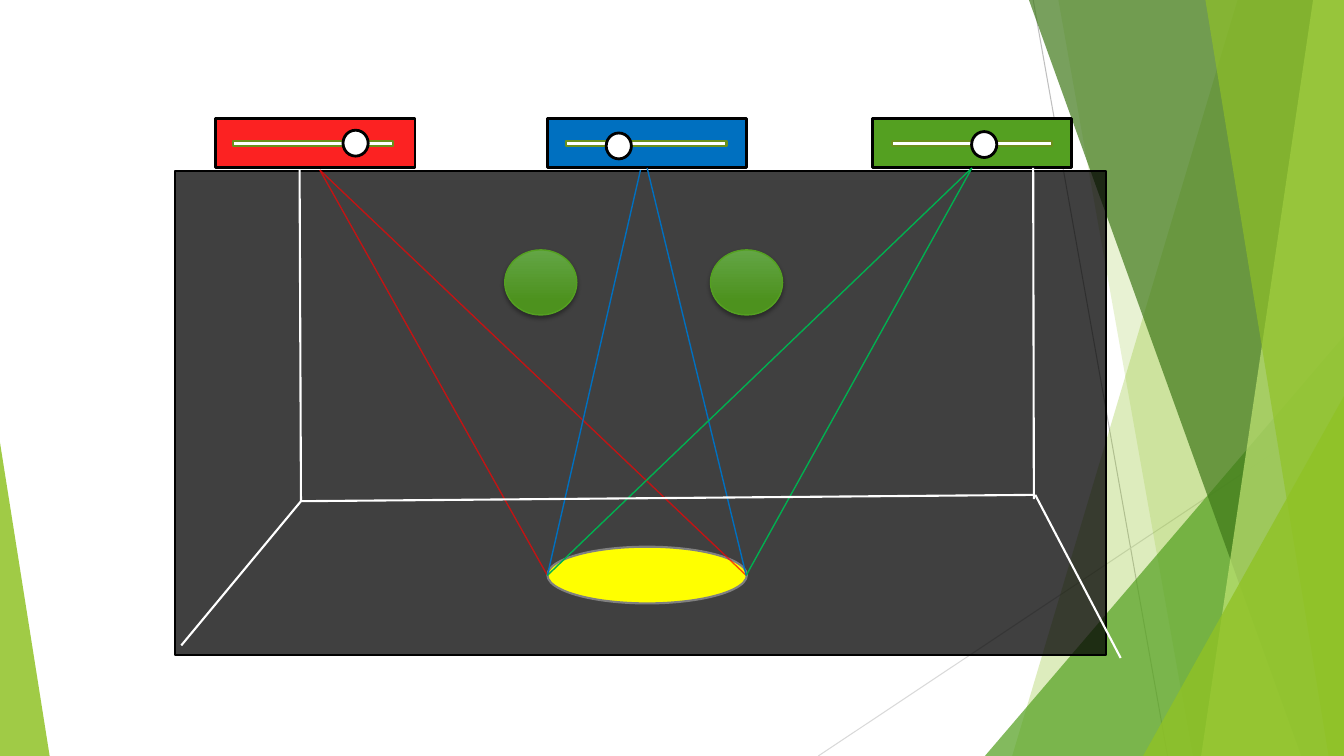
from lxml import etree
from pptx import Presentation
from pptx.dml.color import RGBColor
from pptx.enum.shapes import MSO_CONNECTOR as CONN, MSO_SHAPE as SHAPE
from pptx.oxml.ns import qn
from pptx.util import Pt

WIDTH, HEIGHT = 960, 540
BLACK, WHITE, LIME, GREEN = "000000", "FFFFFF", "90C226", "54A021"


def rgb(color):
    return RGBColor.from_string(color)


def set_alpha(fill, percent):
    """Make a solid fill let through what lies behind it."""
    if percent < 100:
        color = fill._xPr.find(qn("a:solidFill"))[0]
        etree.SubElement(color, qn("a:alpha"), val=str(percent * 1000))


class Stage:
    """Draws on one slide; all lengths are in points."""

    edge = 2
    wall_line = 1.5
    beam_line = 1

    def __init__(self, slide):
        self.shapes = slide.shapes

    def paint(self, sp, fill, alpha=100, line=None, width=edge):
        sp.shadow.inherit = False
        sp.fill.solid()
        sp.fill.fore_color.rgb = rgb(fill)
        set_alpha(sp.fill, alpha)
        if line:
            sp.line.color.rgb = rgb(line)
            sp.line.width = Pt(width)
        else:
            sp.line.fill.background()
        return sp

    def shape(self, kind, x, y, w, h, fill, **style):
        sp = self.shapes.add_shape(kind, Pt(x), Pt(y), Pt(w), Pt(h))
        return self.paint(sp, fill, **style)

    def triangle(self, x, y, w, apex, fill, alpha):
        """A triangle that stands on the bottom of the slide."""
        sp = self.shape(SHAPE.ISOSCELES_TRIANGLE, x, y, w, HEIGHT - y, fill, alpha=alpha)
        sp.adjustments[0] = apex

    def band(self, top, bottom, fill, alpha):
        """A full-height band from a slanted left edge to the right of the slide."""
        builder = self.shapes.build_freeform(Pt(top), 0)
        corners = [(WIDTH, 0), (WIDTH, HEIGHT), (bottom, HEIGHT)]
        builder.add_line_segments([(Pt(x), Pt(y)) for x, y in corners], close=True)
        self.paint(builder.convert_to_shape(), fill, alpha)

    def line(self, start, end, color, width, alpha=100, box=None):
        """A straight line; with a box it starts at the middle of its bottom."""
        cx = self.shapes.add_connector(CONN.STRAIGHT, *map(Pt, (*start, *end)))
        cx.line.color.rgb = rgb(color)
        cx.line.width = Pt(width)
        set_alpha(cx.line.fill, alpha)
        etree.SubElement(cx._element.spPr, qn("a:effectLst"))
        if box is not None:
            cx.begin_connect(box, 2)

    def lamp(self, x, color, track_x, knob_x, knob_y):
        """A coloured box with a slider on it."""
        box = self.shape(SHAPE.RECTANGLE, x, 84.5, 142.5, 35.5, color, line=BLACK)
        self.shape(SHAPE.RECTANGLE, track_x, 100.8, 114.5, 3.4, WHITE,
                   line="6B901C", width=1.5)
        self.shape(SHAPE.OVAL, knob_x, knob_y, 18, 18.5, WHITE, line=BLACK)
        return box

    def ball(self, x, y):
        sp = self.shape(SHAPE.OVAL, x, y, 51.5, 46.5, GREEN, line=GREEN, width=1)
        sp.fill.gradient()
        sp.fill.gradient_angle = 270
        stops = [(0, "63A545"), (0.78, "4D921E")]
        for stop, (position, color) in zip(sp.fill.gradient_stops, stops):
            stop.position = position
            stop.color.rgb = rgb(color)
        effects = sp._element.spPr.find(qn("a:effectLst"))
        shadow = etree.SubElement(effects, qn("a:outerShdw"), blurRad=str(Pt(3)),
                                  dist=str(Pt(2)), dir="5400000", rotWithShape="0")
        color = etree.SubElement(shadow, qn("a:srgbClr"), val=BLACK)
        etree.SubElement(color, qn("a:alpha"), val="35000")


def draw_backdrop(stage):
    stage.line((738, 0), (834, HEIGHT), "BFBFBF", 0.75)
    stage.line((WIDTH, 290), (584.5, HEIGHT), "D9D9D9", 0.75)
    stage.band(884, 723, LIME, 30)
    stage.band(756, 852, LIME, 20)
    stage.triangle(703.5, 240, 256.5, 1, GREEN, 72)
    stage.band(735, 929.5, "3F7819", 70)
    stage.band(938, 858, "C0E474", 70)
    stage.band(861, 949, LIME, 65)
    stage.triangle(816.5, 283, 143.5, 1, LIME, 80)
    stage.triangle(0, 316, 35.5, 0, LIME, 85)


def draw_lights(stage):
    stage.lamp(154, "FC2222", 166.5, 245, 93)
    blue_box = stage.lamp(391, "0070C0", 404.5, 433, 95)
    green_box = stage.lamp(623, GREEN, 637, 694, 94)
    stage.shape(SHAPE.OVAL, 391, 390.5, 142.5, 40.5, "FFFF00", line="808080", width=1.5)
    left, right = (391, 411), (533, 411)
    beams = [
        ((228.5, 121.5), left, "FF0000", 67, None),
        ((228.5, 121.5), right, "FF0000", 67, None),
        ((457.5, 121.5), left, "0070C0", 100, None),
        ((462, 120), right, "0070C0", 100, blue_box),
        ((694, 120), left, "00B050", 100, green_box),
        ((694, 120), right, "00B050", 100, green_box),
    ]
    for start, end, color, alpha, box in beams:
        stage.line(start, end, color, stage.beam_line, alpha, box)


def draw_room_edges(stage):
    corner = (215, 358)
    edges = [
        ((214, 121.5), corner),
        (corner, (129.5, 461)),
        (corner, (739, 353.5)),
        ((738, 120), (738.5, 356.5)),
        ((739.5, 353.5), (800.5, 470)),
    ]
    for start, end in edges:
        stage.line(start, end, WHITE, stage.wall_line)


def main():
    prs = Presentation()
    prs.slide_width, prs.slide_height = Pt(WIDTH), Pt(HEIGHT)
    stage = Stage(prs.slides.add_slide(prs.slide_layouts[6]))
    draw_backdrop(stage)
    stage.shape(SHAPE.RECTANGLE, 125, 122, 665, 346, BLACK, alpha=75, line=BLACK, width=1.25)
    draw_lights(stage)
    draw_room_edges(stage)
    for x in (360.5, 507.5):
        stage.ball(x, 178.5)
    prs.save("out.pptx")


if __name__ == "__main__":
    main()
